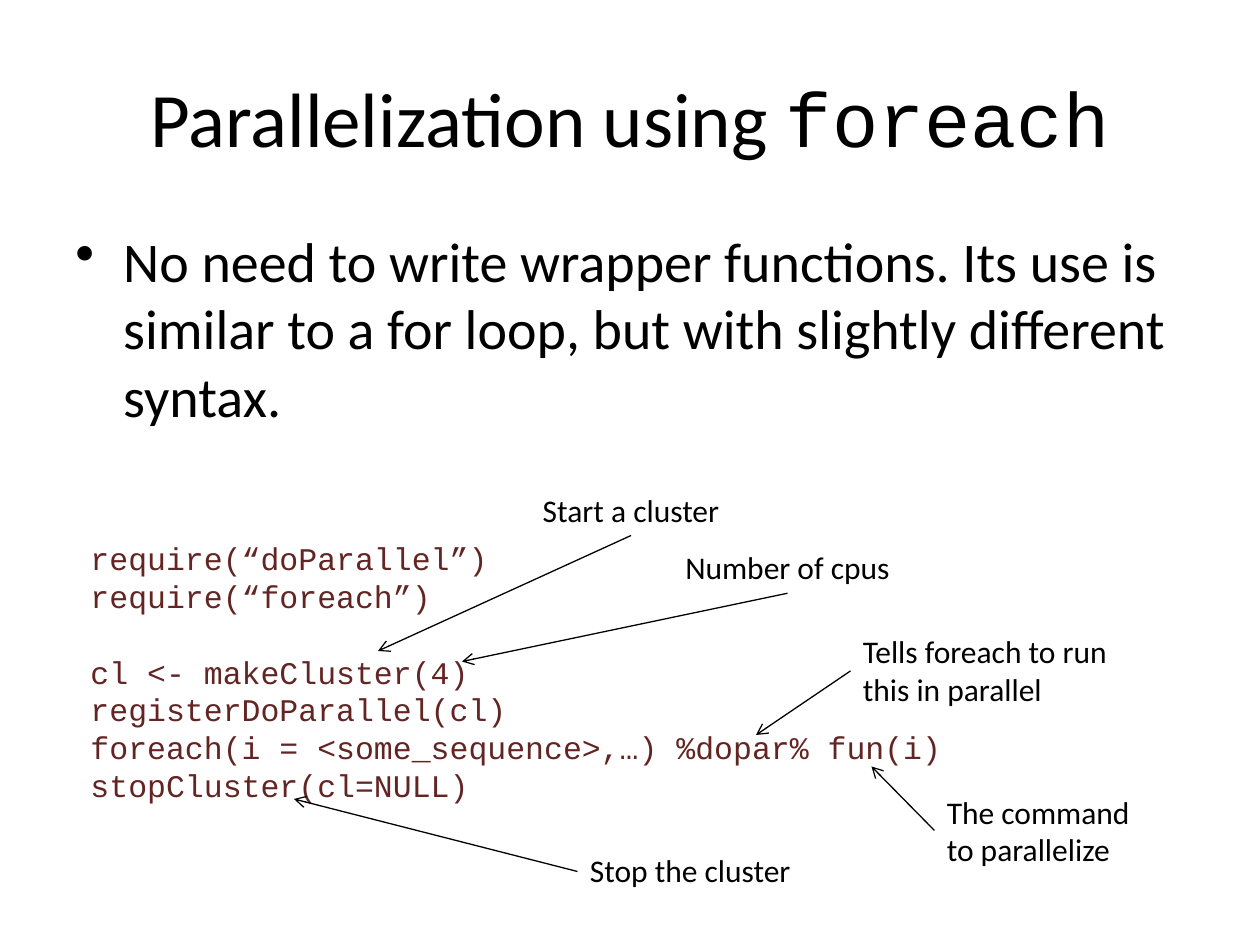
from lxml import etree
from pptx import Presentation
from pptx.dml.color import RGBColor
from pptx.enum.shapes import MSO_CONNECTOR
from pptx.enum.text import MSO_ANCHOR, PP_ALIGN
from pptx.oxml.ns import qn
from pptx.util import Inches, Pt

LEFT, CENTER = PP_ALIGN.LEFT, PP_ALIGN.CENTER
TOP, MIDDLE = MSO_ANCHOR.TOP, MSO_ANCHOR.MIDDLE
STRAIGHT = MSO_CONNECTOR.STRAIGHT
COLORS = {"text": "000000", "code": "632523"}
SANS, MONO = "Calibri", "Courier New"
COLS, ROWS = 120, 90  # grid laid over the slide


class Deck:
    def __init__(self, prs):
        self.s = prs.slides.add_slide(prs.slide_layouts[6])
        self.col = prs.slide_width / COLS
        self.row = prs.slide_height / ROWS

    def xy(self, col, row):
        return round(col * self.col), round(row * self.row)

    def text(self, box, paragraphs, size=18, font=SANS, color="text",
             align=LEFT, anchor=TOP):
        """Each paragraph is a list of (text, font or None) runs."""
        sp = self.s.shapes.add_textbox(*self.xy(*box[:2]), *self.xy(*box[2:]))
        tf = sp.text_frame
        tf.word_wrap = True
        tf.vertical_anchor = anchor
        for i, runs in enumerate(paragraphs):
            p = tf.paragraphs[0] if i == 0 else tf.add_paragraph()
            p.alignment = align
            p.font.size = Pt(size)
            p.font.name = font
            p.font.color.rgb = RGBColor.from_string(COLORS[color])
            for words, run_font in runs:
                r = p.add_run()
                r.text = words
                if run_font:
                    r.font.name = run_font
        return tf.paragraphs

    def bullet(self, box, words, size):
        p = self.text(box, [[(words, None)]], size)[0]
        p.space_before = Pt(size * 0.2)
        pPr = p._p.get_or_add_pPr()
        pPr.set("marL", str(Inches(0.38)))
        pPr.set("indent", str(-Inches(0.38)))
        mark = etree.Element(qn("a:buChar"), char="•")
        pPr.find(qn("a:spcBef")).addnext(mark)

    def code(self, box, blocks, pitch):
        """Blocks of lines, set one line apart."""
        lines = [line for block in blocks for line in block]
        paragraphs = self.text(box, [[(line, None)] for line in lines],
                               font=MONO, color="code")
        for p in paragraphs:
            p.line_spacing = Pt(pitch)
        start = 0
        for block in blocks[:-1]:
            start += len(block)
            paragraphs[start].space_before = Pt(pitch)

    def arrow(self, start, end):
        c = self.s.shapes.add_connector(STRAIGHT, *self.xy(*start), *self.xy(*end))
        c.line.width = Pt(0.75)
        c.line.color.rgb = RGBColor.from_string(COLORS["text"])
        etree.SubElement(c.line._get_or_add_ln(), qn("a:tailEnd"), type="arrow")
        etree.SubElement(c._element.spPr, qn("a:effectLst"))

    def callout(self, box, words, align, start, end):
        self.text(box, [[(words, None)]], align=align)
        self.arrow(start, end)


prs = Presentation()
prs.slide_width, prs.slide_height = Inches(10), Inches(7.5)
deck = Deck(prs)

# Title and message
deck.text((6, 3.6, 108, 15),
          [[("Parallelization using ", None), ("foreach", MONO)]],
          size=44, align=CENTER, anchor=MIDDLE)
deck.bullet((6, 21, 108, 21),
            "No need to write wrapper functions. Its use is similar to a "
            "for loop, but with slightly different syntax.", 32)

# Code listing
deck.code((7.44, 50.76, 101.5, 26.6), [
    ["require(“doParallel”)", "require(“foreach”)"],
    ["cl <- makeCluster(4)", "registerDoParallel(cl)",
     "foreach(i = <some_sequence>,…) %dopar% fun(i)",
     "stopCluster(cl=NULL)"],
], pitch=21.6)

# Callouts: box, words, alignment, arrow start, arrow end
for callout in [
    ((48.2, 46.2, 23.8, 4.8), "Start a cluster", CENTER, (60.1, 51), (36, 62)),
    ((62, 51.6, 26, 5), "Number of cpus", CENTER, (75, 56.5), (44, 63)),
    ((81, 59.6, 29, 8.5), "Tells foreach to run this in parallel", LEFT,
     (81, 63.9), (72, 70)),
    ((89, 74.9, 23, 8.5), "The command to parallelize", LEFT,
     (89, 79.1), (83, 73)),
    ((55, 80.5, 30, 5), "Stop the cluster", LEFT, (55, 83), (28, 76.1)),
]:
    deck.callout(*callout)

prs.save("out.pptx")
